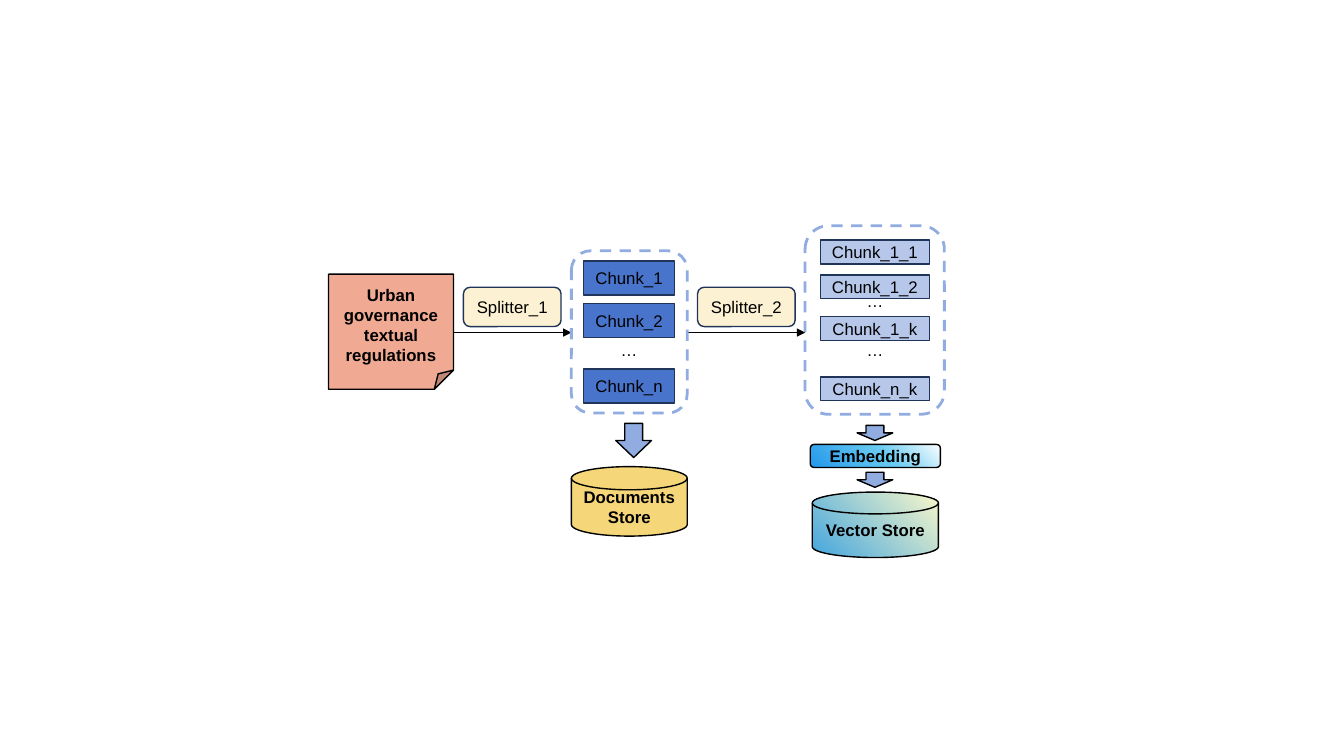
"""Build a slide showing how regulations are split, embedded and stored."""
from copy import deepcopy

from pptx import Presentation
from pptx import util as u
from pptx.dml.color import RGBColor
from pptx.enum import dml, shapes, text
from pptx.oxml.ns import qn

BLACK = RGBColor(0x00, 0x00, 0x00)
NAVY = RGBColor(0x20, 0x33, 0x59)
SALMON = RGBColor(0xF0, 0xAA, 0x93)
CREAM = RGBColor(0xFC, 0xF1, 0xD2)
BLUE = RGBColor(0x48, 0x74, 0xCB)
MID_BLUE = RGBColor(0x91, 0xAC, 0xE0)
PALE_BLUE = RGBColor(0xB6, 0xC7, 0xEA)
GOLD = RGBColor(0xF5, 0xD6, 0x79)
EMBEDDING_STOPS = [
    (0, RGBColor(0xFF, 0xFF, 0xFF)),
    (0.42, RGBColor(0x6A, 0xCC, 0xF2)),
    (1, RGBColor(0x24, 0x97, 0xEA)),
]
VECTOR_STOPS = [(0.06, RGBColor(0x4E, 0xAA, 0xDD)), (1, RGBColor(0xF9, 0xF8, 0xCA))]
KIND = shapes.MSO_SHAPE

presentation = Presentation()
presentation.slide_width = u.Cm(33.87)
presentation.slide_height = u.Cm(19.05)
slide = presentation.slides.add_slide(presentation.slide_layouts[6])


def write(shape, wording, bold=False, anchor=text.MSO_ANCHOR.MIDDLE):
    frame = shape.text_frame
    frame.word_wrap = True
    frame.vertical_anchor = anchor
    frame.margin_left = frame.margin_right = frame.margin_top = frame.margin_bottom = 0
    paragraph = frame.paragraphs[0]
    paragraph.text = wording
    paragraph.alignment = text.PP_ALIGN.CENTER
    paragraph.font.name = "Arial"
    paragraph.font.size = u.Pt(12)
    paragraph.font.bold = bold
    paragraph.font.color.rgb = BLACK


def add_box(kind, left, top, width, height, fill=None, line=BLACK, line_width=1):
    shape = slide.shapes.add_shape(kind, u.Cm(left), u.Cm(top), u.Cm(width), u.Cm(height))
    shape.shadow.inherit = False
    if fill is None:
        shape.fill.background()
    else:
        shape.fill.solid()
        shape.fill.fore_color.rgb = fill
    shape.line.color.rgb = line
    shape.line.width = u.Pt(line_width)
    return shape


regulations = add_box(KIND.FOLDED_CORNER, 8.28, 6.91, 3.15, 2.9, SALMON)
write(regulations, "Urban governance textual regulations", True, text.MSO_ANCHOR.BOTTOM)
regulations.text_frame.margin_bottom = u.Cm(0.13)

for left, wording in [(11.68, "Splitter_1"), (17.58, "Splitter_2")]:
    write(add_box(KIND.ROUNDED_RECTANGLE, left, 7.24, 2.46, 0.99, CREAM, NAVY), wording)

for start, end in [(11.43, 14.4), (17.32, 20.29)]:
    arrow = slide.shapes.add_connector(
        shapes.MSO_CONNECTOR.STRAIGHT, u.Cm(start), u.Cm(8.38), u.Cm(end), u.Cm(8.38))
    arrow.line.color.rgb = BLACK
    arrow.line.width = u.Pt(1)
    tail = arrow.line._get_or_add_ln().makeelement(qn("a:tailEnd"), {"type": "triangle"})
    arrow.line._get_or_add_ln().append(tail)
    properties = arrow._element.spPr
    properties.append(properties.makeelement(qn("a:effectLst"), {}))

for bounds in [(14.4, 6.32, 2.92, 4.09), (20.29, 5.69, 3.51, 4.75)]:
    group_frame = add_box(KIND.ROUNDED_RECTANGLE, *bounds, line=MID_BLUE, line_width=2)
    group_frame.line.dash_style = dml.MSO_LINE.DASH

chunk_columns = [
    (14.71, 2.29, 0.86, BLUE, [(6.58, "Chunk_1"), (7.65, "Chunk_2"), (9.3, "Chunk_n")]),
    (20.68, 2.74, 0.6, PALE_BLUE, [(6.05, "Chunk_1_1"), (6.93, "Chunk_1_2"),
                                   (7.98, "Chunk_1_k"), (9.5, "Chunk_n_k")]),
]
for left, width, height, fill, chunks in chunk_columns:
    for top, wording in chunks:
        write(add_box(KIND.RECTANGLE, left, top, width, height, fill, NAVY), wording)

for left, top, width, height in [(14.71, 8.38, 2.29, 0.86), (20.68, 7.37, 2.74, 0.43),
                                 (20.68, 8.61, 2.74, 0.43)]:
    write(slide.shapes.add_textbox(u.Cm(left), u.Cm(top), u.Cm(width), u.Cm(height)), "…")

for left, top, height in [(15.52, 10.67, 0.86), (21.6, 10.72, 0.38), (21.6, 11.9, 0.38)]:
    add_box(KIND.DOWN_ARROW, left, top, 0.9, height, MID_BLUE)

documents_store = add_box(KIND.FLOWCHART_MAGNETIC_DISK, 14.4, 11.76, 2.92, 1.75, GOLD)
write(documents_store, "Documents Store", True)

embedding = add_box(KIND.FLOWCHART_ALTERNATE_PROCESS, 20.42, 11.2, 3.28, 0.58)
vector_store = add_box(KIND.FLOWCHART_MAGNETIC_DISK, 20.47, 12.4, 3.18, 1.65)
for shape, wording, stops, angle in [(embedding, "Embedding", EMBEDDING_STOPS, 225),
                                     (vector_store, "Vector Store", VECTOR_STOPS, 45)]:
    write(shape, wording, True)
    shape.fill.gradient()
    shape.fill.gradient_angle = angle
    stop_list = shape._element.spPr.find(".//" + qn("a:gsLst"))
    for _ in stops[2:]:
        stop_list.append(deepcopy(stop_list[0]))
    for stop, (position, color) in zip(shape.fill.gradient_stops, stops):
        stop.position = position
        stop.color.rgb = color

presentation.save("out.pptx")
